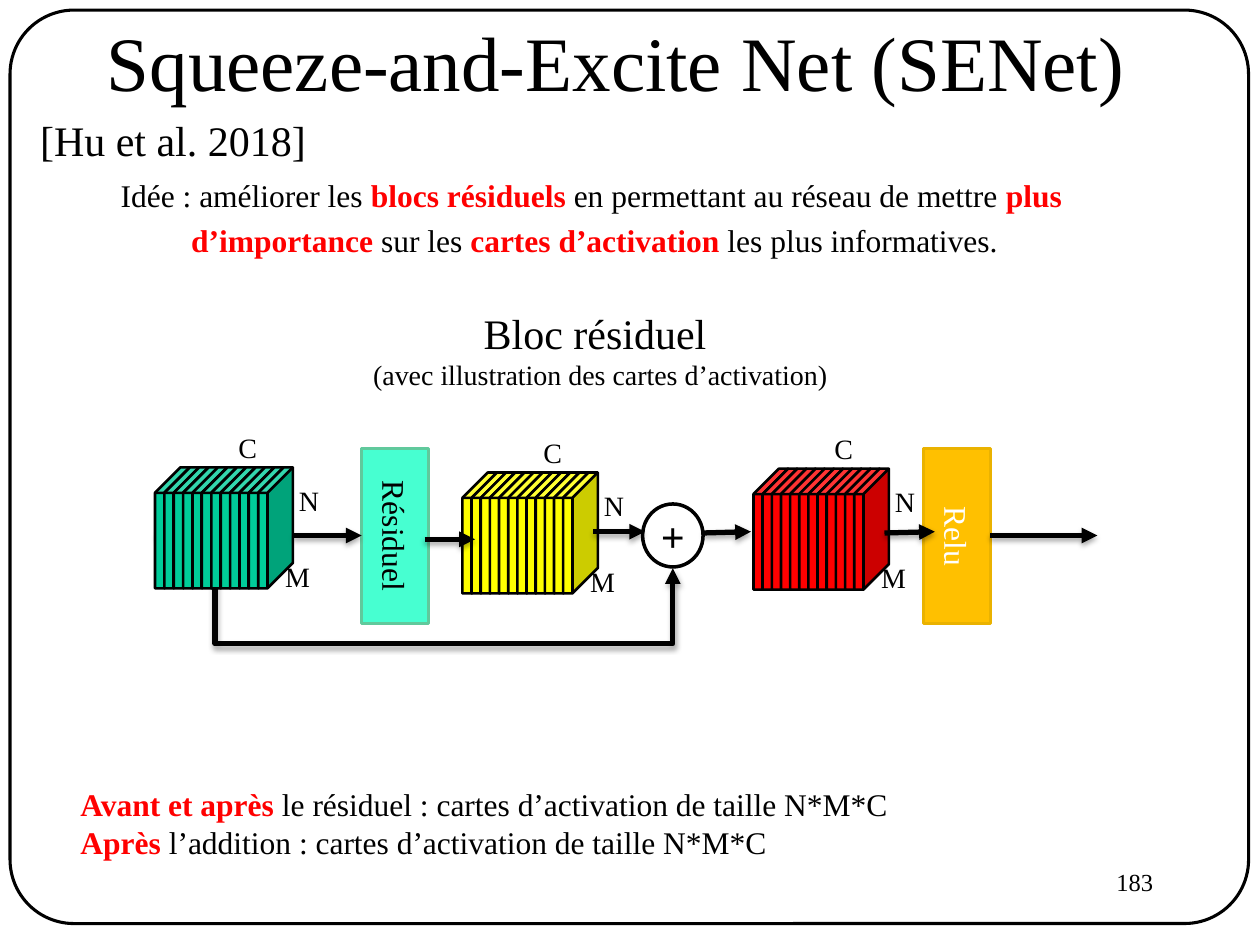
from lxml import etree
from pptx import Presentation
from pptx import util as u
from pptx.dml.color import RGBColor
from pptx.enum import shapes, text
from pptx.oxml import parse_xml
from pptx.oxml.ns import nsdecls, qn

BLACK, RED, WHITE = "000000", "FF0000", "FFFFFF"
FONT = "Times New Roman"
LEFT, CENTER, RIGHT = text.PP_ALIGN.LEFT, text.PP_ALIGN.CENTER, text.PP_ALIGN.RIGHT
TOP, MIDDLE = text.MSO_ANCHOR.TOP, text.MSO_ANCHOR.MIDDLE
SHAPE = shapes.MSO_SHAPE
colour = RGBColor.from_string

presentation = Presentation()
presentation.slide_width, presentation.slide_height = u.Inches(10), u.Inches(7.5)
slide = presentation.slides.add_slide(presentation.slide_layouts[6])

# Square grid: 100 columns by 75 rows; all boxes are left, top, width, height in cells
cell = presentation.slide_width / 100


def add(box, paragraphs=(), kind=None, fill=None, line=BLACK, weight=2,
        align=LEFT, anchor=TOP, parent=slide.shapes):
    """Add a text box or a preset shape; paragraphs hold runs of (text, size, colour, bold)."""
    place = [round(cell * length) for length in box]
    if kind is None:
        shape = parent.add_textbox(*place)
    else:
        shape = parent.add_shape(kind, *place)
        shape.shadow.inherit = False
        shape.line.color.rgb = colour(line)
        shape.line.width = u.Pt(weight)
        if fill:
            shape.fill.solid()
            shape.fill.fore_color.rgb = colour(fill)
        else:
            shape.fill.background()
    frame = shape.text_frame
    frame.word_wrap, frame.vertical_anchor = True, anchor
    if kind is not None:
        frame.margin_left = frame.margin_right = frame.margin_top = frame.margin_bottom = 0
    for index, runs in enumerate(paragraphs):
        paragraph = frame.add_paragraph() if index else frame.paragraphs[0]
        paragraph.alignment = align
        for words, size, tint, bold in runs:
            run = paragraph.add_run()
            run.text = words
            run.font.name, run.font.size, run.font.bold = FONT, u.Pt(size), bold
            run.font.color.rgb = colour(tint)
    return shape


def arrow(ends, kind=shapes.MSO_CONNECTOR.STRAIGHT):
    """Add a black arrow with a soft shadow; ends are x, y, x, y in cells."""
    connector = slide.shapes.add_connector(kind, *[round(cell * end) for end in ends])
    connector.line.color.rgb = colour(BLACK)
    connector.line.width = u.Pt(3)
    etree.SubElement(connector.line._get_or_add_ln(), qn("a:tailEnd"), type="triangle")
    connector._element.spPr.append(parse_xml(
        f'<a:effectLst {nsdecls("a")}><a:outerShdw blurRad="39370" dist="22860" dir="5400000" '
        'rotWithShape="0"><a:srgbClr val="000000"><a:alpha val="35000"/></a:srgbClr>'
        '</a:outerShdw></a:effectLst>'))
    return connector


# Frame
frame_shape = add((0.8, 0.8, 98.3, 73.3), kind=SHAPE.ROUNDED_RECTANGLE, weight=1.75)
frame_shape.height = round(cell * 72.5)
frame_shape.adjustments[0] = 0.07

# Title, reference and page number
add((7.5, -1.4, 85, 12.5), [[("Squeeze-and-Excite Net (SENet)", 44, BLACK, False)]], anchor=MIDDLE)
add((2.2, 8.6, 26, 5), [[("[Hu et al. 2018]", 24, BLACK, False)]])
add((71.7, 68.3, 20.8, 5), [[("183", 14, BLACK, False)]], align=RIGHT)

# Main idea
idea = add((8.6, 13.5, 85, 10.4), [
    [("Idée : améliorer les ", 18, BLACK, False), ("blocs résiduels ", 18, RED, True),
     ("en permettant au réseau de mettre ", 18, BLACK, False), ("plus", 18, RED, True)],
    [("d’importance", 18, RED, True), (" sur les ", 18, BLACK, False),
     ("cartes d’activation", 18, RED, True),
     (" les plus informatives.", 18, BLACK, False)]])
second_line = idea.text_frame.paragraphs[1]
second_line.space_before = u.Pt(4)
second_line._p.get_or_add_pPr().set("marL", str(round(cell * 5.6)))

# Diagram heading
add((27.3, 23.9, 40.7, 7.7), [
    [("Bloc résiduel ", 24, BLACK, False)],
    [("(avec illustration des cartes d’activation)", 16, BLACK, False)]], align=CENTER)

# Skip connection, leaving from behind the first stack
skip = arrow((12.4, 42.5, 53.4, 45.1), shapes.MSO_CONNECTOR.ELBOW)
geometry = skip._element.spPr.find(qn("a:prstGeom"))
geometry.set("prst", "bentConnector4")
guides = geometry.find(qn("a:avLst"))
for name, value in (("adj1", 11400), ("adj2", 331000)):
    etree.SubElement(guides, qn("a:gd"), name=name, fmla=f"val {value}")

# Layer blocks and addition node
for left, label, fill, line, tint in (
        (24.4, "Résiduel", "47FFD1", "60C99C", BLACK),
        (69, "Relu", "FFC000", "EAB200", WHITE)):
    block = add((left, 39.9, 13.9, 5.3), [[(label, 18, tint, False)]], SHAPE.RECTANGLE,
                fill, line, align=CENTER, anchor=MIDDLE)
    block.rotation = 90
add((51, 40, 4.8, 5), [[("+", 24, BLACK, True)]], SHAPE.OVAL, WHITE,
    align=CENTER, anchor=MIDDLE)

# Stacks of 12 activation maps, each with its three dimensions
for left, top, step, fill in ((12.3, 37.1, 0.745, "00CC99"),
                              (36.7, 37.5, 0.727, "FFFF00"),
                              (59.8, 37.2, 0.727, RED)):
    stack = slide.shapes.add_group_shape()
    for index in range(12):
        activation_map = add((left + index * step, top, 2.75, 9.6), kind=SHAPE.CUBE, fill=fill,
                             weight=1.5, parent=stack.shapes)
        activation_map.adjustments[0] = 0.735
    right = left + 11 * step + 2.75
    for letter, across, down in (("C", -5.3, -3.4), ("N", -0.5, 0.8), ("M", -1.6, 6.8)):
        add((right + across, top + down, 4, 3.7), [[(letter, 16, BLACK, False)]])

# Arrows along the flow
for ends in ((23.3, 42.5, 28.7, 42.5), (33.7, 42.8, 37.7, 42.8), (47.1, 42.2, 51.2, 42.2),
             (55.8, 42.3, 59.6, 42.2), (70.2, 42.3, 74.2, 42.2), (78.6, 42.5, 87.1, 42.5)):
    arrow(ends)

# Sizes of the activation maps
add((5.4, 61.8, 87.2, 7.1), [
    [("Avant et après ", 18, RED, True),
     ("le résiduel : cartes d’activation de taille N*M*C", 18, BLACK, False)],
    [("Après", 18, RED, True),
     (" l’addition : cartes d’activation de taille N*M*C", 18, BLACK, False)]])

presentation.save("out.pptx")
